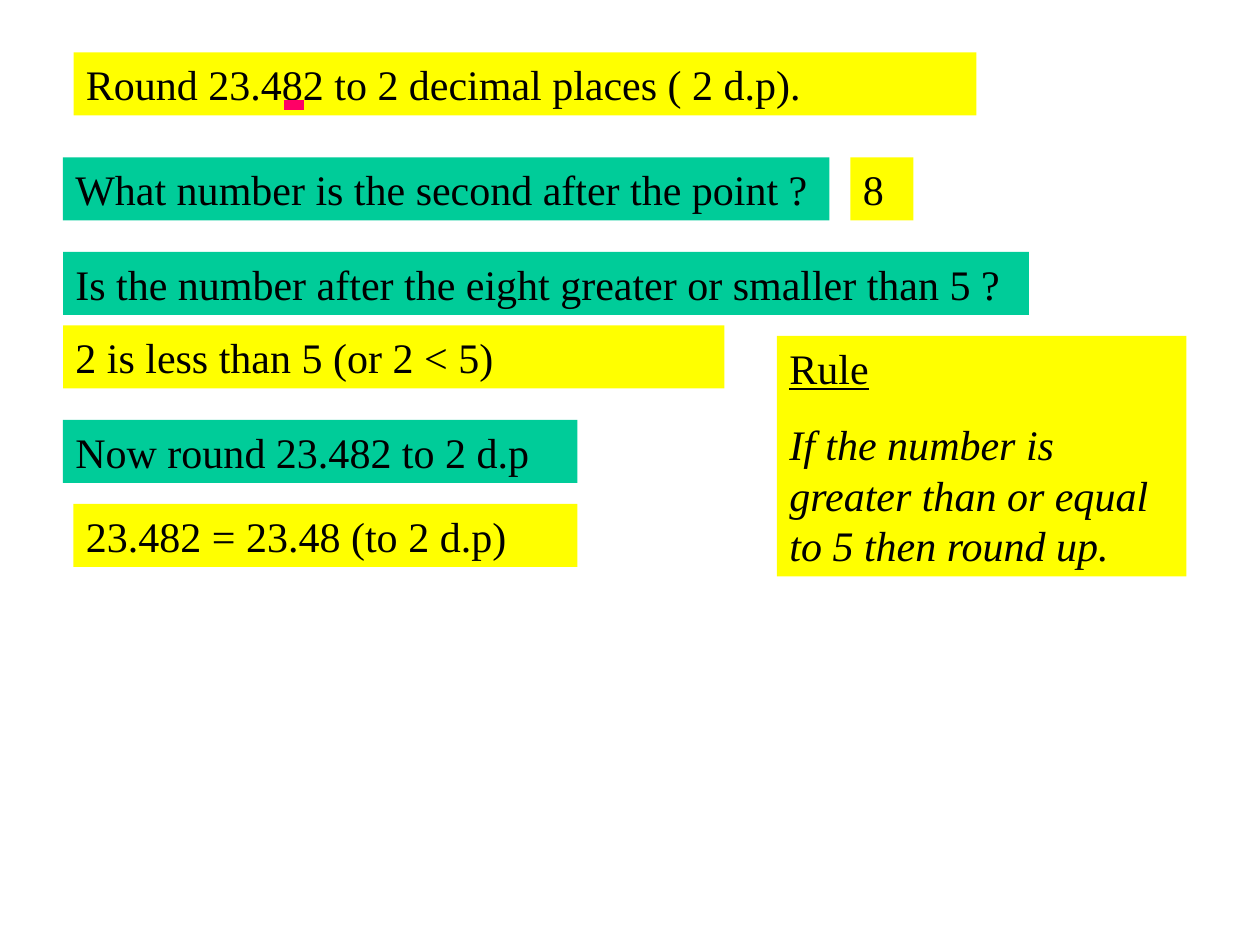
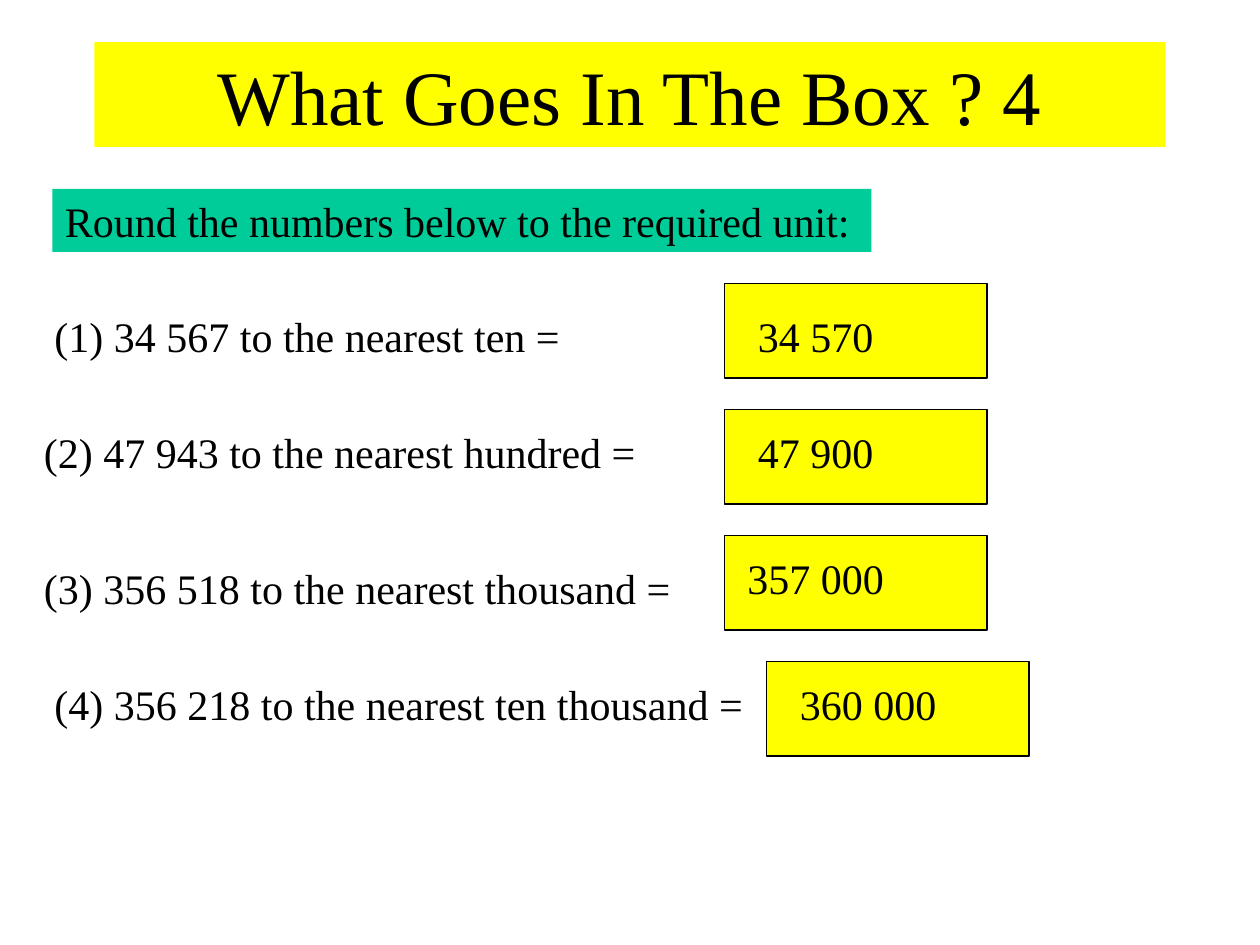
from dataclasses import dataclass
from typing import NamedTuple

from lxml.etree import SubElement
from pptx import Presentation
from pptx.dml.color import RGBColor
from pptx.enum.shapes import MSO_CONNECTOR, MSO_SHAPE
from pptx.enum.text import MSO_ANCHOR, MSO_AUTO_SIZE, PP_ALIGN
from pptx.oxml.ns import qn
from pptx.shapes.autoshape import Shape
from pptx.slide import Slide
from pptx.text.text import TextFrame
from pptx.util import Emu, Pt

EMU_PER_PX = 7620


@dataclass(frozen=True)
class Theme:
    font: str = "Times New Roman"
    text: RGBColor = RGBColor(0x00, 0x00, 0x00)
    answer: RGBColor = RGBColor(0xFF, 0xFF, 0x00)
    question: RGBColor = RGBColor(0x00, 0xCC, 0x99)
    marker: RGBColor = RGBColor(0xFF, 0x00, 0x66)
    title_size: int = 44
    body_size: int = 24
    paragraph_gap: int = 15
    marker_width: float = 6
    outline_width: float = 0.75


THEME = Theme()


class Box(NamedTuple):
    left: int
    top: int
    width: int
    height: int = 60


class Step(NamedTuple):
    text: str
    box: Box
    fill: RGBColor


class Exercise(NamedTuple):
    question: str
    question_box: Box
    answer: str
    answer_box: Box
    frame_left: int


STEPS = [
    Step("Round 23.482 to 2 decimal places ( 2 d.p).", Box(70, 50, 860), THEME.answer),
    Step("What number is the second after the point ?", Box(60, 150, 730), THEME.question),
    Step("8", Box(810, 150, 60), THEME.answer),
    Step("Is the number after the eight greater or smaller than 5 ?", Box(60, 240, 920), THEME.question),
    Step("2 is less than 5 (or 2 < 5)", Box(60, 310, 630), THEME.answer),
    Step("Now round 23.482 to 2 d.p", Box(60, 400, 490), THEME.question),
    Step("23.482 = 23.48 (to 2 d.p)", Box(70, 480, 480), THEME.answer),
]

EXERCISES = [
    Exercise("(1) 34 567 to the nearest ten =", Box(40, 290, 560), "34 570", Box(710, 290, 210), 690),
    Exercise("(2) 47 943 to the nearest hundred =", Box(30, 400, 600), "47 900", Box(710, 400, 200), 690),
    Exercise("(3) 356 518 to the nearest thousand =", Box(30, 530, 640), "357 000", Box(700, 520, 210), 690),
    Exercise("(4) 356 218 to the nearest ten thousand =", Box(40, 640, 700), "360 000", Box(750, 640, 210), 730),
]
FIRST_FRAME_TOP = 270
FRAME_PITCH = 120
FRAME_WIDTH = 250
FRAME_HEIGHT = 90


def px(length: int) -> Emu:
    return Emu(length * EMU_PER_PX)


def write_paragraph(
    frame: TextFrame,
    text: str,
    *,
    size: int = THEME.body_size,
    align: PP_ALIGN = PP_ALIGN.LEFT,
    italic: bool = False,
    underline: bool = False,
) -> None:
    paragraph = frame.paragraphs[0]
    if paragraph.runs:
        paragraph = frame.add_paragraph()
        paragraph.space_before = Pt(THEME.paragraph_gap)
    paragraph.alignment = align
    run = paragraph.add_run()
    run.text = text
    run.font.name = THEME.font
    run.font.size = Pt(size)
    run.font.italic = italic
    run.font.underline = underline
    run.font.color.rgb = THEME.text


def add_text_box(slide: Slide, box: Box, fill: RGBColor | None = None) -> TextFrame:
    shape = slide.shapes.add_textbox(*map(px, box))
    if fill is not None:
        shape.fill.solid()
        shape.fill.fore_color.rgb = fill
    frame = shape.text_frame
    frame.word_wrap = True
    frame.auto_size = MSO_AUTO_SIZE.SHAPE_TO_FIT_TEXT
    return frame


def add_title(slide: Slide, text: str) -> None:
    frame = add_text_box(slide, Box(90, 40, 1020, 100), THEME.answer)
    frame.auto_size = MSO_AUTO_SIZE.NONE
    frame.vertical_anchor = MSO_ANCHOR.MIDDLE
    write_paragraph(frame, text, size=THEME.title_size, align=PP_ALIGN.CENTER)


def add_answer_frame(slide: Slide, box: Box) -> Shape:
    shape = slide.shapes.add_shape(MSO_SHAPE.RECTANGLE, *map(px, box))
    shape.shadow.inherit = False
    shape.fill.solid()
    shape.fill.fore_color.rgb = THEME.answer
    shape.line.color.rgb = THEME.text
    shape.line.width = Pt(THEME.outline_width)
    return shape


def add_digit_marker(slide: Slide, left: int, top: int, width: int) -> None:
    connector = slide.shapes.add_connector(
        MSO_CONNECTOR.STRAIGHT, px(left), px(top), px(left + width), px(top)
    )
    connector.line.color.rgb = THEME.marker
    connector.line.width = Pt(THEME.marker_width)
    SubElement(connector._element.spPr, qn("a:effectLst"))


def build_worked_example(slide: Slide) -> None:
    for step in STEPS:
        write_paragraph(add_text_box(slide, step.box, step.fill), step.text)
    add_digit_marker(slide, 270, 100, 20)
    rule = add_text_box(slide, Box(740, 320, 390, 229), THEME.answer)
    write_paragraph(rule, "Rule", underline=True)
    write_paragraph(rule, "If the number is greater than or equal to 5 then round up.", italic=True)


def build_exercises(slide: Slide) -> None:
    add_title(slide, "What Goes In The Box ? 4")
    instruction = add_text_box(slide, Box(50, 180, 780), THEME.question)
    write_paragraph(instruction, "Round the numbers below to the required unit:")
    for row, exercise in enumerate(EXERCISES):
        top = FIRST_FRAME_TOP + row * FRAME_PITCH
        write_paragraph(add_text_box(slide, exercise.question_box), exercise.question)
        add_answer_frame(slide, Box(exercise.frame_left, top, FRAME_WIDTH, FRAME_HEIGHT))
        write_paragraph(add_text_box(slide, exercise.answer_box), exercise.answer)


def main() -> None:
    presentation = Presentation()
    presentation.slide_width = px(1200)
    presentation.slide_height = px(900)
    blank_layout = presentation.slide_layouts[6]
    for build in (build_worked_example, build_exercises):
        build(presentation.slides.add_slide(blank_layout))
    presentation.save("out.pptx")


if __name__ == "__main__":
    main()
